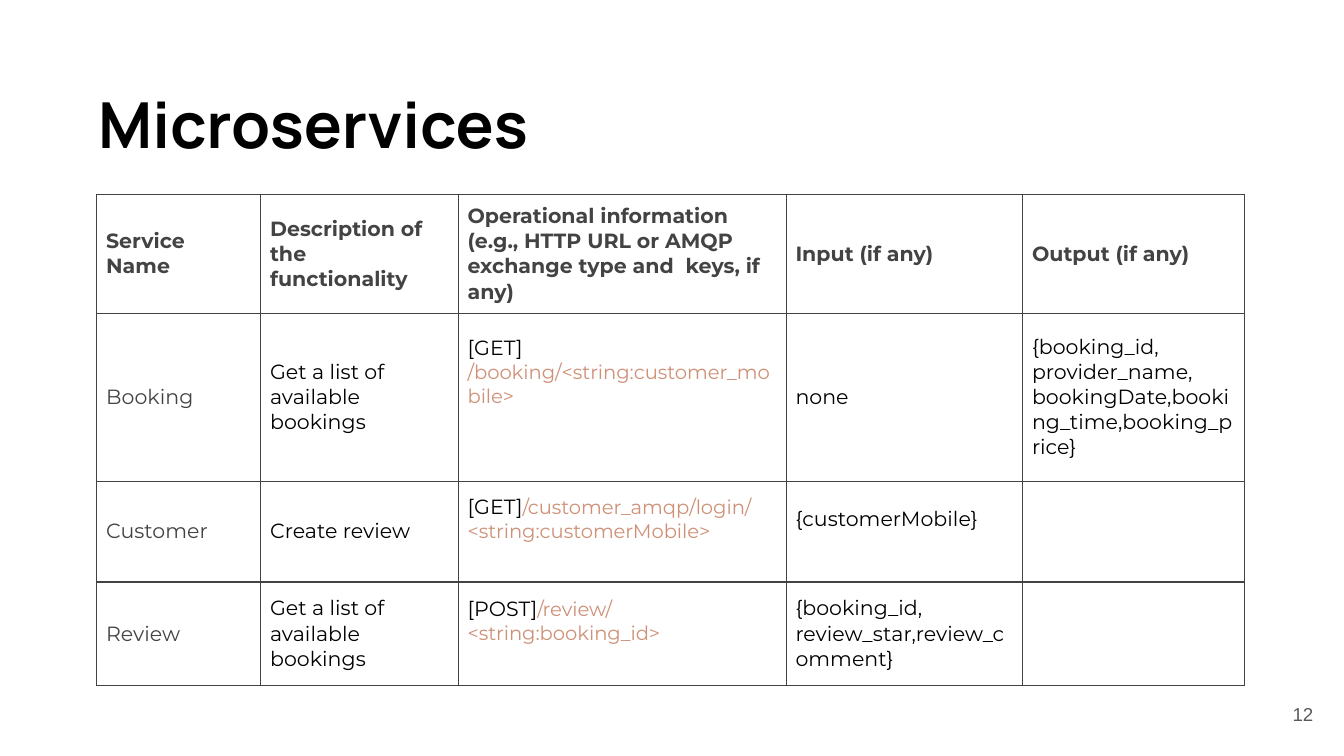
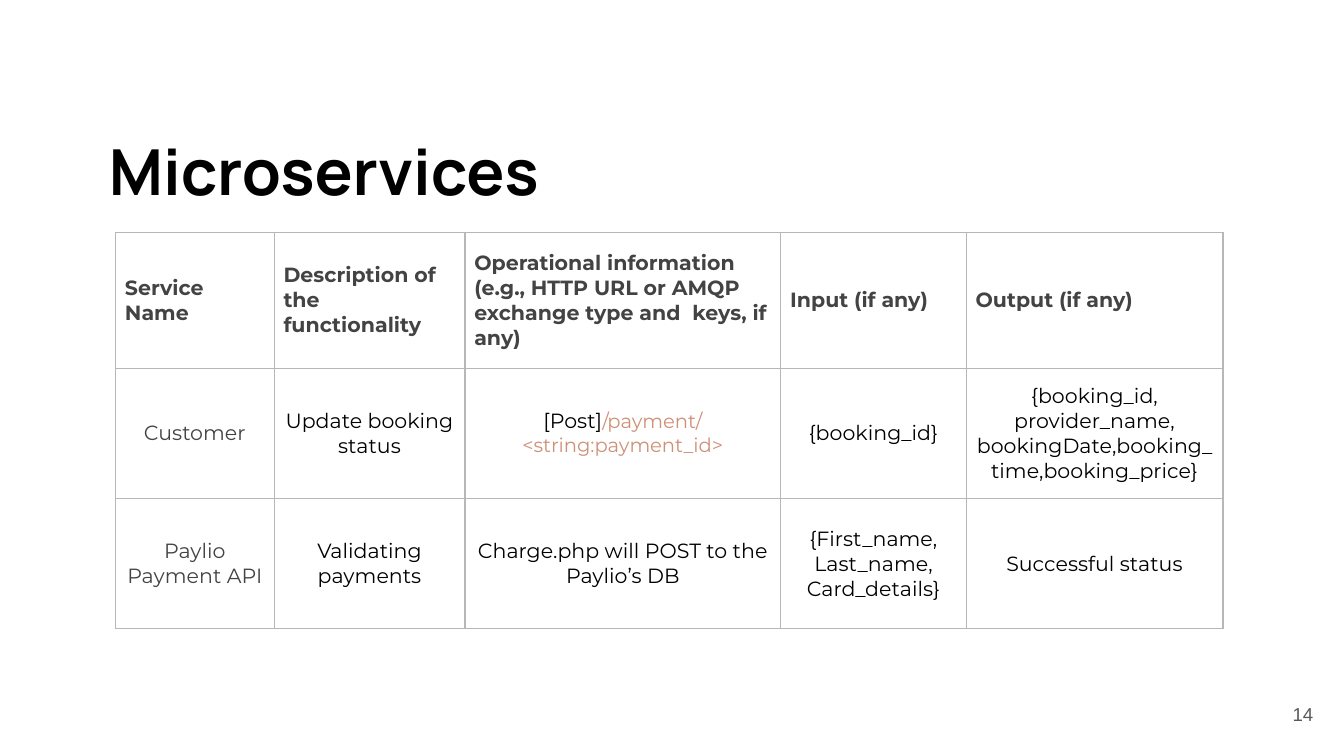
import pptx
import pptx.util
import pptx.dml.color
import pptx.enum.text
import pptx.oxml.ns
import lxml.etree

Inches, Pt = pptx.util.Inches, pptx.util.Pt
ALIGN, ANCHOR = pptx.enum.text.PP_ALIGN, pptx.enum.text.MSO_ANCHOR

INK = {"black": "000000", "dark": "434343", "path": "CE9178", "page": "595959",
       "pale": "B7B7B7", "white": "FFFFFF"}
FORMS = {
    "title": {"name": "Manrope", "size": Pt(34), "bold": True},
    "page": {"name": "Arial", "size": Pt(10), "bold": False},
    "head": {"name": "Montserrat", "size": Pt(11), "bold": True},
    "body": {"name": "Montserrat", "size": Pt(11), "bold": False},
    "path": {"name": "Montserrat", "size": Pt(10.5), "bold": False},
}
HEADS = ["Service Name", "Description of the functionality",
         "Operational information (e.g., HTTP URL or AMQP exchange type and  keys, if any)",
         "Input (if any)", "Output (if any)"]
BOOKING = "{booking_id, provider_name, bookingDate,booking_time,booking_price}"

PAGES = [
    {
        "page": "12", "title": (0.63, 0.53, 8.42, 0.92), "table": (0.72, 1.45, 8.54, 3.65),
        "line": "dark", "align": ALIGN.LEFT,
        "cols": [1.22, 1.47, 2.44, 1.76, 1.65], "rows": [0.88, 1.25, 0.75, 0.77],
        "lift": {(1, 2): 0.37, (2, 2): 0.19, (2, 3): 0.19, (3, 2): 0.19},
        "cells": [
            ["Booking", "Get a list of available bookings",
             "[GET] /booking/<string:customer_mobile>", "none", BOOKING],
            ["Customer", "Create review",
             "[GET]/customer_amqp/login/<string:customerMobile>", "{customerMobile}", ""],
            ["Review", "Get a list of available bookings",
             "[POST]/review/<string:booking_id>",
             "{booking_id, review_star,review_comment}", ""],
        ],
    },
    {
        "page": "14", "title": (0.71, 0.88, 8.4, 0.92), "table": (0.86, 1.73, 8.24, 2.94),
        "line": "pale", "align": ALIGN.CENTER,
        "cols": [1.18, 1.42, 2.35, 1.38, 1.91], "rows": [1.01, 0.97, 0.97],
        "lift": {},
        "cells": [
            ["Customer", "Update booking status", "[Post]/payment/<string:payment_id>",
             "{booking_id}", BOOKING],
            ["Paylio Payment API", "Validating payments",
             "Charge.php will POST to the Paylio’s DB",
             "{First_name, Last_name, Card_details}", "Successful status"],
        ],
    },
]


def write(para, text, form, ink):
    run = para.add_run()
    run.text = text
    for key, value in FORMS[form].items():
        setattr(run.font, key, value)
    run.font.color.rgb = pptx.dml.color.RGBColor.from_string(INK[ink])


def frame(cell, ink):
    props = cell._tc.get_or_add_tcPr()
    for spot, side in enumerate(("a:lnL", "a:lnR", "a:lnT", "a:lnB")):
        line = lxml.etree.Element(pptx.oxml.ns.qn(side), w=str(Pt(0.75)))
        fill = lxml.etree.SubElement(line, pptx.oxml.ns.qn("a:solidFill"))
        lxml.etree.SubElement(fill, pptx.oxml.ns.qn("a:srgbClr"), val=INK[ink])
        props.insert(spot, line)


deck = pptx.Presentation()
deck.slide_width, deck.slide_height = Inches(10), Inches(10 * 9 / 16)
EDGES = ("margin_left", "margin_right", "margin_top", "margin_bottom")

for page in PAGES:
    slide = deck.slides.add_slide(deck.slide_layouts[5])
    back = slide.background.fill
    back.solid()
    back.fore_color.rgb = pptx.dml.color.RGBColor.from_string(INK["white"])

    title = slide.shapes.title
    for key, value in zip(("left", "top", "width", "height"), page["title"]):
        setattr(title, key, Inches(value))
    foot = slide.shapes.add_textbox(Inches(9.27), Inches(5.1), Inches(0.6), Inches(0.43))
    labels = [
        (title, "Microservices", "title", "black", ALIGN.LEFT, ANCHOR.TOP),
        (foot, page["page"], "page", "page", ALIGN.RIGHT, ANCHOR.MIDDLE),
    ]
    for box, text, form, ink, align, anchor in labels:
        body = box.text_frame
        body.word_wrap = True
        body.auto_size = pptx.enum.text.MSO_AUTO_SIZE.NONE
        body.vertical_anchor = anchor
        for edge in EDGES:
            setattr(body, edge, Inches(0.1))
        body.paragraphs[0].alignment = align
        write(body.paragraphs[0], text, form, ink)

    grid = [HEADS] + page["cells"]
    table = slide.shapes.add_table(len(grid), len(HEADS), *map(Inches, page["table"])).table
    table.first_row = table.horz_banding = False
    for col, width in zip(table.columns, page["cols"]):
        col.width = Inches(width)
    for row, height in zip(table.rows, page["rows"]):
        row.height = Inches(height)

    for r, texts in enumerate(grid):
        for c, text in enumerate(texts):
            cell = table.cell(r, c)
            cell.fill.background()
            frame(cell, page["line"])
            cell.vertical_anchor = ANCHOR.MIDDLE
            for edge, value in zip(EDGES, (0.07, 0.07, 0, page["lift"].get((r, c), 0))):
                setattr(cell, edge, Inches(value))
            para = cell.text_frame.paragraphs[0]
            para.alignment = page["align"] if r else ALIGN.LEFT
            if not text:
                continue
            verb, slash, rest = text.partition("/")
            form = "body" if r else "head"
            ink = "black" if r and c else "dark"
            if r and slash:
                write(para, verb, form, ink)
                write(para, slash + rest, "path", "path")
            else:
                write(para, text, form, ink)

deck.save("out.pptx")
